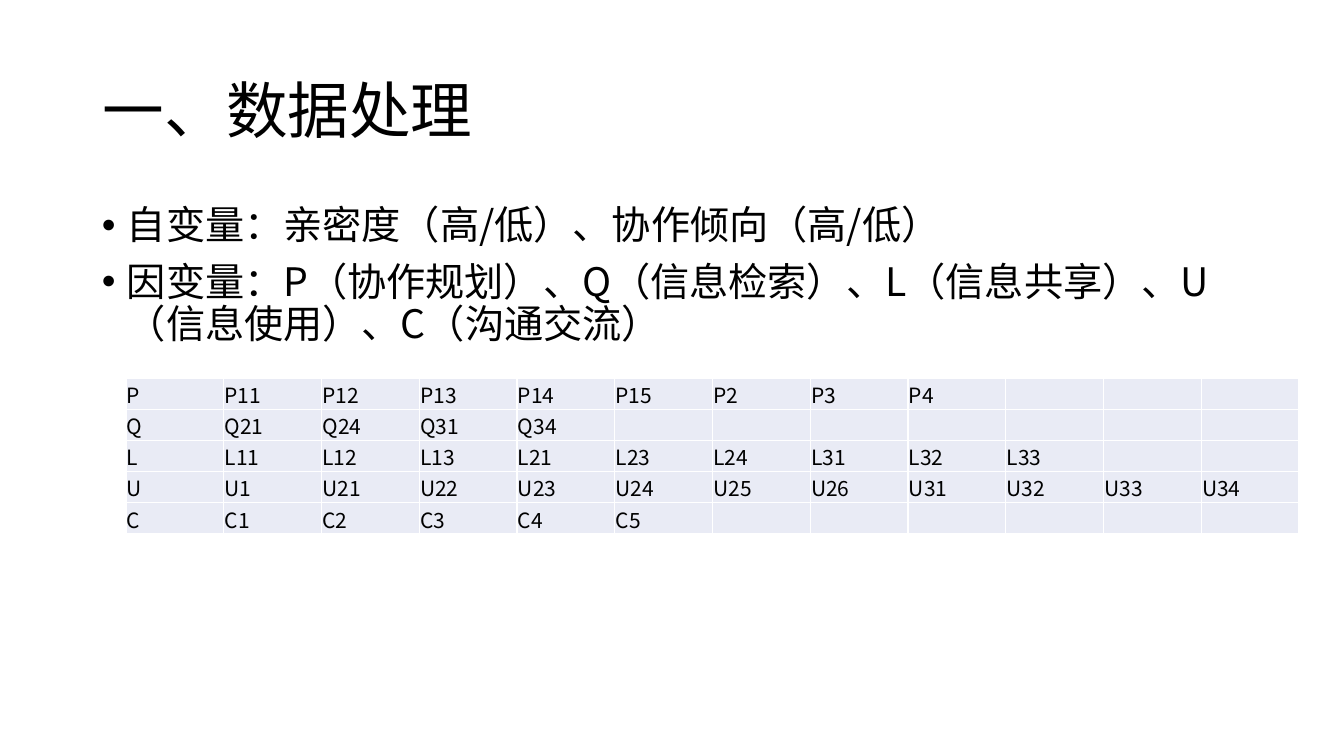
from dataclasses import dataclass

import pptx
import pptx.dml.color
import pptx.enum.text
import pptx.oxml
import pptx.oxml.ns
import pptx.util
from lxml import etree

EMU_PER_PIXEL = 914400 / 100.8
FONT = "Noto Sans CJK SC"
COLORS = {"text": "000000", "cell": "E9EBF5", "border": "FFFFFF"}
CELL_SIZE = 15
COLUMN_COUNT = 12
BULLET_INDENT = 25


@dataclass(frozen=True)
class Box:
    left: int
    top: int
    width: int
    height: int


@dataclass(frozen=True)
class TextBlock:
    box: Box
    lines: tuple[str, ...]
    size: int
    anchor: pptx.enum.text.MSO_ANCHOR
    bulleted: bool = False


def px(length: float) -> int:
    return round(length * EMU_PER_PIXEL)


def child(parent, tag: str, **attributes: str):
    return etree.SubElement(parent, pptx.oxml.ns.qn(tag), attributes)


def rgb(name: str) -> pptx.dml.color.RGBColor:
    return pptx.dml.color.RGBColor.from_string(COLORS[name])


def add_run(paragraph, text: str, size: int) -> None:
    run = paragraph.add_run()
    run.text = text
    run.font.size = pptx.util.Pt(size)
    run.font.name = FONT
    run.font.color.rgb = rgb("text")
    child(run.font._element, "a:ea", typeface=FONT)


def add_bullet(paragraph) -> None:
    properties = paragraph._p.get_or_add_pPr()
    properties.set("marL", str(px(BULLET_INDENT)))
    properties.set("indent", str(-px(BULLET_INDENT)))
    paragraph.space_before = pptx.util.Pt(10)
    child(properties, "a:buFont", typeface="Arial")
    child(properties, "a:buChar", char="•")


def draw_text(slide, block: TextBlock) -> None:
    box = block.box
    frame = slide.shapes.add_textbox(
        px(box.left), px(box.top), px(box.width), px(box.height)).text_frame
    frame.word_wrap = True
    frame.vertical_anchor = block.anchor
    for index, line in enumerate(block.lines):
        paragraph = frame.add_paragraph() if index else frame.paragraphs[0]
        paragraph.line_spacing = 0.9
        if block.bulleted:
            add_bullet(paragraph)
        add_run(paragraph, line, block.size)


def draw_cell(cell, code: str) -> None:
    cell.margin_left = cell.margin_right = cell.margin_top = px(1)
    cell.margin_bottom = 0
    cell.vertical_anchor = pptx.enum.text.MSO_ANCHOR.BOTTOM
    properties = cell._tc.get_or_add_tcPr()
    for side in ("a:lnL", "a:lnR", "a:lnT", "a:lnB"):
        border = child(properties, side, w=str(pptx.util.Pt(1)))
        child(child(border, "a:solidFill"), "a:srgbClr", val=COLORS["border"])
    cell.fill.solid()
    cell.fill.fore_color.rgb = rgb("cell")
    paragraph = cell.text_frame.paragraphs[0]
    if code:
        add_run(paragraph, code, CELL_SIZE)
    else:
        # Empty cells keep the row as low as filled ones
        child(paragraph._p, "a:endParaRPr", sz=str(CELL_SIZE * 100))


def draw_codes(slide, box: Box, rows: list[list[str]]) -> None:
    table = slide.shapes.add_table(
        len(rows), COLUMN_COUNT,
        px(box.left), px(box.top), px(box.width), px(box.height)).table
    table.first_row = False
    table.horz_banding = False
    for column in table.columns:
        column.width = px(box.width / COLUMN_COUNT)
    for row, codes in zip(table.rows, rows):
        row.height = px(box.height / len(rows))
        padded = codes + [""] * (COLUMN_COUNT - len(codes))
        for cell, code in zip(row.cells, padded):
            draw_cell(cell, code)


# Content
heading = TextBlock(Box(93, 41, 1159, 146), ("一、数据处理",), 44,
                    pptx.enum.text.MSO_ANCHOR.MIDDLE)
variables = TextBlock(
    Box(92, 201, 1159, 480),
    ("自变量：亲密度（高/低）、协作倾向（高/低）",
     "因变量：P（协作规划）、Q（信息检索）、L（信息共享）、"
     "U（信息使用）、C（沟通交流）"),
    28, pptx.enum.text.MSO_ANCHOR.TOP, bulleted=True)
code_rows = [line.split() for line in (
    "P P11 P12 P13 P14 P15 P2 P3 P4",
    "Q Q21 Q24 Q31 Q34",
    "L L11 L12 L13 L21 L23 L24 L31 L32 L33",
    "U U1 U21 U22 U23 U24 U25 U26 U31 U32 U33 U34",
    "C C1 C2 C3 C4 C5",
)]

# Slide
deck = pptx.Presentation()
deck.slide_width, deck.slide_height = px(1344), px(756)
slide = deck.slides.add_slide(deck.slide_layouts[6])
draw_text(slide, variables)
draw_codes(slide, Box(126, 378, 1173, 156), code_rows)
draw_text(slide, heading)
deck.save("out.pptx")
